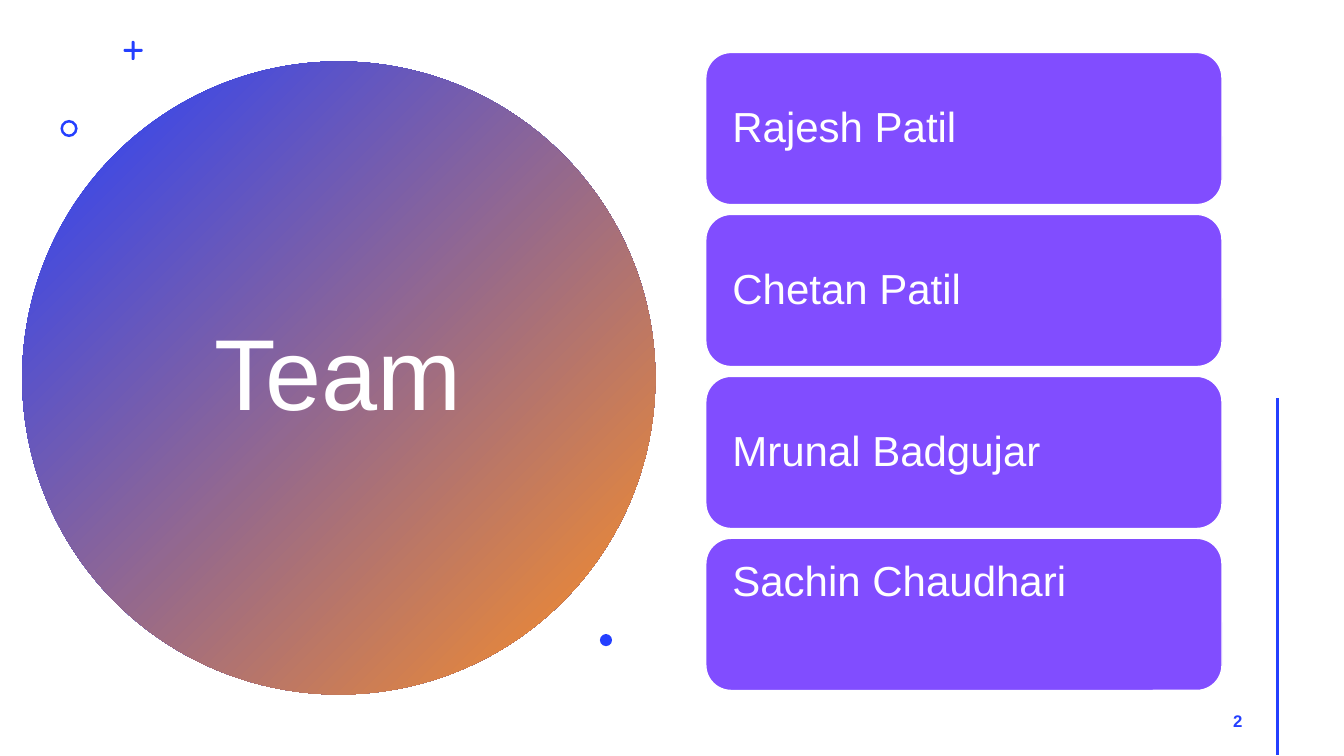
from dataclasses import dataclass

from lxml import etree
from pptx import Presentation
from pptx.dml.color import RGBColor
from pptx.enum.shapes import MSO_CONNECTOR, MSO_SHAPE
from pptx.enum.text import MSO_ANCHOR, PP_ALIGN
from pptx.oxml.ns import qn
from pptx.util import Inches, Pt


@dataclass(frozen=True)
class Theme:
    font: str = "Arial"
    blue: RGBColor = RGBColor.from_string("243FFF")
    orange: RGBColor = RGBColor.from_string("FF9022")
    purple: RGBColor = RGBColor.from_string("814DFF")
    white: RGBColor = RGBColor.from_string("FFFFFF")
    title_size: int = 72
    name_size: int = 30
    number_size: int = 12


class SlideBuilder:
    def __init__(self, slide, theme):
        self.s = slide
        self.theme = theme

    def shape(self, kind, box, color, outline=None, adjust=None):
        sp = self.s.shapes.add_shape(kind, *map(Inches, box))
        sp.shadow.inherit = False
        sp.fill.solid()
        sp.fill.fore_color.rgb = color
        if outline is None:
            sp.line.fill.background()
        else:
            sp.line.color.rgb = outline
            sp.line.width = Pt(1)
        if adjust is not None:
            sp.adjustments[0] = adjust
        return sp

    def gradient_circle(self, box):
        sp = self.shape(MSO_SHAPE.OVAL, box, self.theme.blue)
        sp.fill.gradient()
        sp.fill.gradient_angle = 315
        for stop, color in zip(sp.fill.gradient_stops, (self.theme.blue, self.theme.orange)):
            stop.color.rgb = color

    def label(self, sp, text, size, color, align, spacing=1.0):
        """Put one vertically centred line of text in a shape and return its run."""
        tf = sp.text_frame
        tf.word_wrap = True
        tf.vertical_anchor = MSO_ANCHOR.MIDDLE
        p = tf.paragraphs[0]
        p.alignment = align
        p.line_spacing = spacing
        r = p.add_run()
        r.text = text
        r.font.name = self.theme.font
        r.font.size = Pt(size)
        r.font.color.rgb = color
        return r

    def text(self, box, text, size, color, align, spacing=1.0):
        sp = self.s.shapes.add_textbox(*map(Inches, box))
        return self.label(sp, text, size, color, align, spacing)

    def card(self, box, name, bottom_inset):
        t = self.theme
        sp = self.shape(MSO_SHAPE.ROUNDED_RECTANGLE, box, t.purple, outline=t.white)
        self.label(sp, name, t.name_size, t.white, PP_ALIGN.LEFT, 0.9)
        tf = sp.text_frame
        tf.margin_left = tf.margin_right = tf.margin_top = Inches(0.19)
        tf.margin_bottom = Inches(bottom_inset)

    def plus(self, cx, cy, length, thickness):
        for w, h in ((length, thickness), (thickness, length)):
            self.shape(MSO_SHAPE.ROUNDED_RECTANGLE, (cx - w / 2, cy - h / 2, w, h),
                       self.theme.blue, adjust=0.5)

    def line(self, x1, y1, x2, y2):
        cn = self.s.shapes.add_connector(
            MSO_CONNECTOR.STRAIGHT, *map(Inches, (x1, y1, x2, y2)))
        cn.line.color.rgb = self.theme.blue
        cn.line.width = Pt(2)
        etree.SubElement(cn._element.spPr, qn("a:effectLst"))


def main():
    prs = Presentation()
    prs.slide_width, prs.slide_height = Inches(13.33), Inches(7.5)
    t = Theme()
    b = SlideBuilder(prs.slides.add_slide(prs.slide_layouts[6]), t)

    b.gradient_circle((0.22, 0.61, 6.28, 6.28))
    b.text((1.36, 1.41, 3.99, 4.67), "Team", t.title_size, t.white, PP_ALIGN.CENTER, 0.9)
    b.plus(1.32, 0.5, 0.19, 0.03)
    b.shape(MSO_SHAPE.DONUT, (0.6, 1.19, 0.17, 0.17), t.blue, adjust=0.15)
    b.shape(MSO_SHAPE.OVAL, (5.95, 6.29, 0.12, 0.12), t.blue)

    team = ["Rajesh Patil", "Chetan Patil", "Mrunal Badgujar", "Sachin Chaudhari"]
    top, bottom, height = 0.52, 6.85, 1.51
    pitch = (bottom - top - height) / (len(team) - 1)
    for i, name in enumerate(team):
        # The last name sits higher in its card than the others.
        bottom_inset = 0.81 if i == len(team) - 1 else 0.19
        b.card((7, top + i * pitch, 5.12, height), name, bottom_inset)

    r = b.text((9.42, 6.95, 3, 0.4), "2", t.number_size, t.blue, PP_ALIGN.RIGHT)
    r.font.bold = True
    r.font._element.set("spc", "100")
    b.line(12.67, 3.95, 12.67, 7.49)

    prs.save("out.pptx")


if __name__ == "__main__":
    main()
